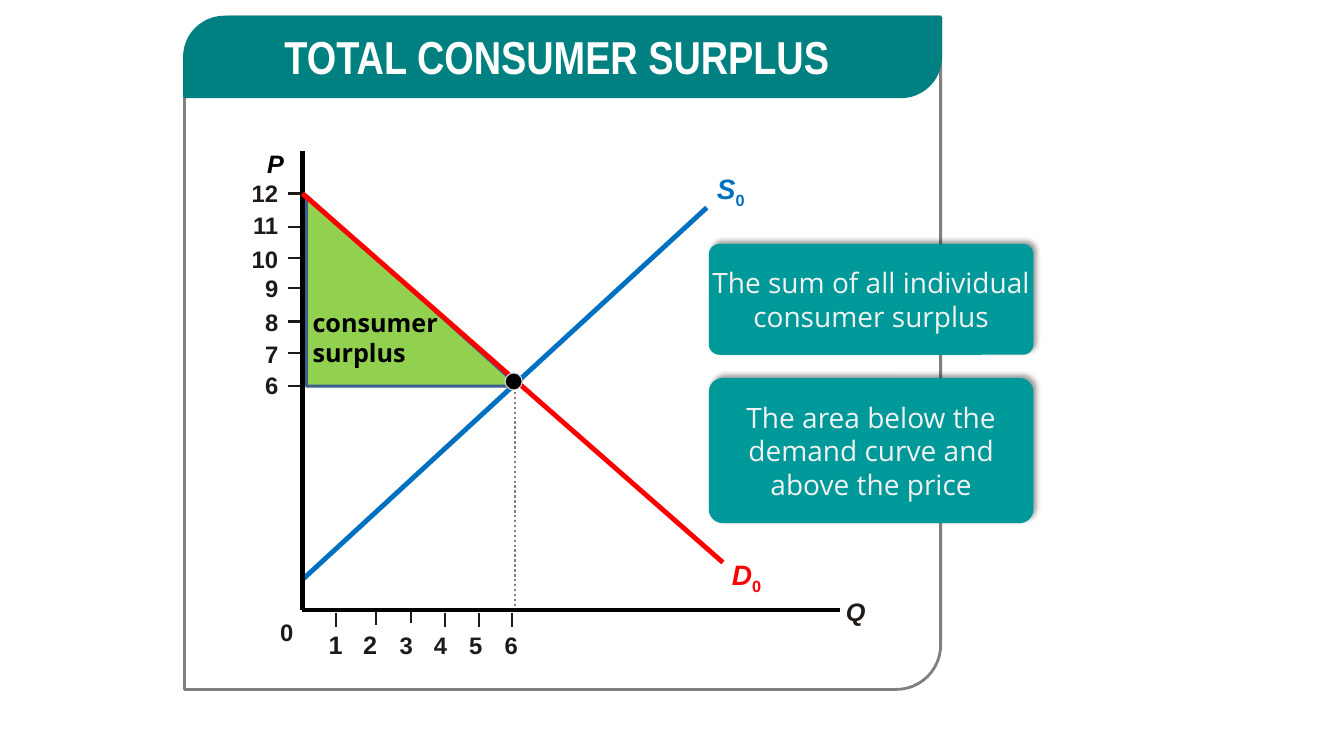
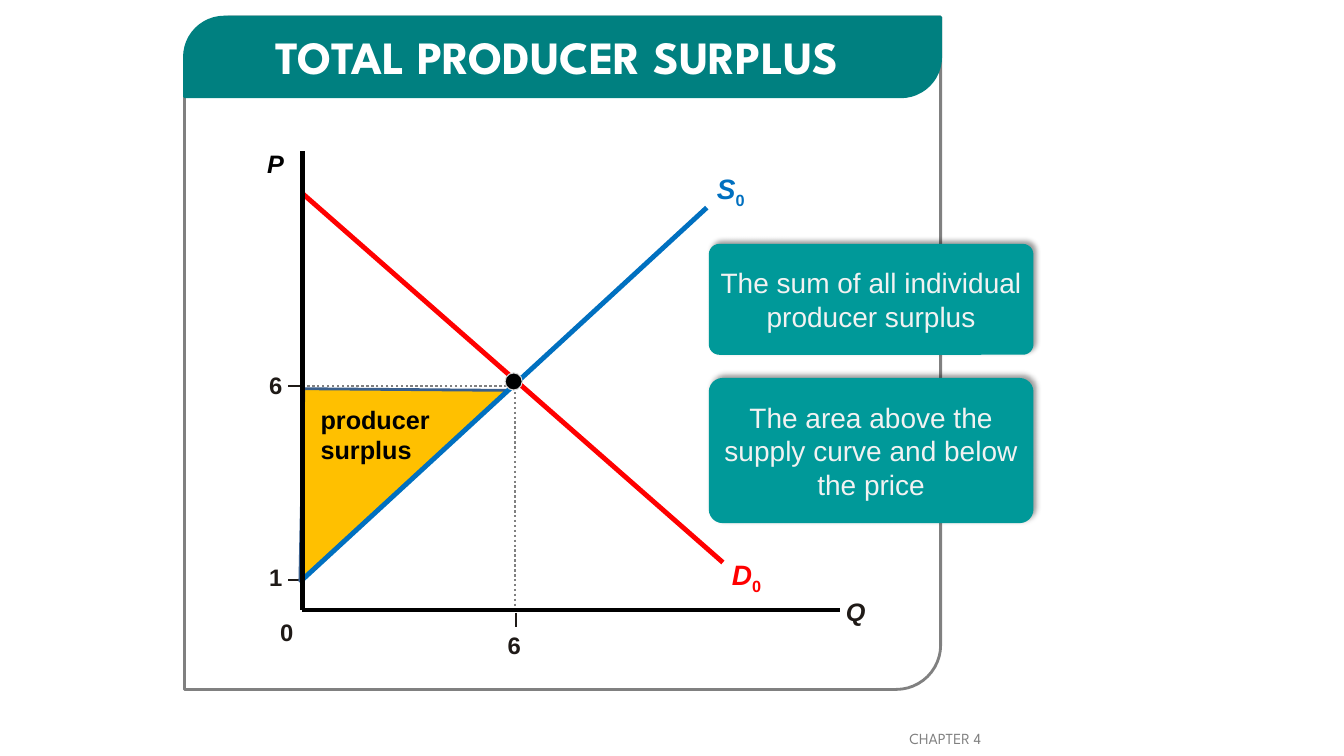
"""Build two economics slides on total consumer and producer surplus."""
import lxml.etree
import pptx
import pptx.dml.color
import pptx.enum.dml
import pptx.enum.shapes
import pptx.enum.text
import pptx.oxml.ns
import pptx.util

PX = 9144
KIND = pptx.enum.shapes.MSO_SHAPE
ALIGN = pptx.enum.text.PP_ALIGN
ANCHOR = pptx.enum.text.MSO_ANCHOR
DASH = pptx.enum.dml.MSO_LINE
QN = pptx.oxml.ns.qn


class Theme:
    banner = "008080"
    callout = "009999"
    callout_text = "F2F2F2"
    white = "FFFFFF"
    black = "000000"
    ink = "1F1A17"
    gray = "808080"
    pale = "D9D9D9"
    supply = "0070C0"
    demand = "FF0000"
    outline = "3A5F8C"
    consumer = "92D050"
    producer = "FFC000"
    body_font = "Arial"
    title_size = 33
    curve_size = 20
    callout_size = 20
    label_size = 18
    tick_size = 17
    footer_size = 11


def add_line(page, start, end, color, width, dash=None):
    line = page.shapes.add_connector(
        pptx.enum.shapes.MSO_CONNECTOR.STRAIGHT, *(PX * value for value in start + end))
    line.line.color.rgb = pptx.dml.color.RGBColor.from_string(color)
    line.line.width = pptx.util.Pt(width)
    if dash is not None:
        line.line.dash_style = dash
    lxml.etree.SubElement(line._element.spPr, QN("a:effectLst"))


def add_shape(page, kind, place, fill, outline, width=2, adjustments=()):
    shape = page.shapes.add_shape(kind, *(PX * value for value in place))
    shape.shadow.inherit = False
    for index, value in enumerate(adjustments):
        shape.adjustments[index] = value
    if fill:
        shape.fill.solid()
        shape.fill.fore_color.rgb = pptx.dml.color.RGBColor.from_string(fill)
    else:
        shape.fill.background()
    if outline:
        shape.line.color.rgb = pptx.dml.color.RGBColor.from_string(outline)
        shape.line.width = pptx.util.Pt(width)
    else:
        shape.line.fill.background()
    return shape


SUPPLY = ((300, 575), (701, 206), Theme.supply, 3.5)
DEMAND = ((300, 192), (717, 558), Theme.demand, 3.5)
PRICE_AXIS = ((300, 605), (300, 150), Theme.black, 3)
QUANTITY_AXIS = ((300, 605), (833, 605), Theme.black, 3)

SLIDES = [
    {
        "title": "TOTAL CONSUMER SURPLUS",
        "title_font": "Arial Narrow",
        "callout_font": "Open Sans",
        "callouts": ["The sum of all individual consumer surplus",
                     "The area below the demand curve and above the price"],
        "price_right": 276,
        "prices": [("6", 383, 367), ("7", 350, 336), ("8", 319, 305), ("9", 286, 271),
                   ("10", 256, 242), ("11", 225, 208), ("12", 192, 177)],
        "quantities": [("1", 333, 608, 333, Theme.label_size),
                       ("2", 373, 606, 367, Theme.label_size),
                       ("3", 408, 604, 403, Theme.tick_size),
                       ("4", 441, 608, 437, Theme.tick_size),
                       ("5", 475, 608, 472, Theme.tick_size),
                       ("6", 508, 608, 507, Theme.tick_size)],
        "price_guide": (Theme.black, 0.75, DASH.DASH),
        "under": [SUPPLY, PRICE_AXIS],
        "over": [DEMAND],
        "area": ((304, 194, 210, 189), Theme.consumer, 0, 0),
        "area_label": ("consumer surplus", (310, 305, 130, 61), "Open Sans"),
        "footer": None,
    },
    {
        "title": "TOTAL PRODUCER SURPLUS",
        "title_font": "League Spartan",
        "callout_font": "Arial",
        "callouts": ["The sum of all individual producer surplus",
                     "The area above the supply curve and below the price"],
        "price_right": 280,
        "prices": [("6", 383, 367), ("1", 575, 558)],
        "quantities": [("6", 512, 608, 510, Theme.tick_size)],
        "price_guide": (Theme.gray, 1.75, DASH.ROUND_DOT),
        "under": [DEMAND],
        "over": [SUPPLY, PRICE_AXIS],
        "area": ((214, 362, 280, 138), Theme.producer, 0.471, 317.5),
        "area_label": ("producer surplus", (318, 401, 113, 61), "Arial"),
        "footer": "CHAPTER 4",
    },
]

deck = pptx.Presentation()
deck.slide_width, deck.slide_height = 1333 * PX, 750 * PX

for content in SLIDES:
    page = deck.slides.add_slide(deck.slide_layouts[5])
    add_shape(page, KIND.ROUND_2_DIAG_RECTANGLE, (183, 17, 750, 667),
              None, Theme.gray, adjustments=(0.066, 0))
    add_shape(page, KIND.ROUND_2_DIAG_RECTANGLE, (183, 17, 750, 79),
              Theme.banner, Theme.banner, adjustments=(0.5, 0))

    title = page.shapes.title
    title.element.getparent().append(title.element)
    title.left, title.top, title.width, title.height = (PX * value for value in (182, 23, 741, 66))
    title.text_frame.text = content["title"]
    title.text_frame.auto_size = pptx.enum.text.MSO_AUTO_SIZE.NONE
    title.text_frame.vertical_anchor = ANCHOR.MIDDLE
    para = title.text_frame.paragraphs[0]
    para.alignment = ALIGN.CENTER
    para.font.name = content["title_font"]
    para.font.size = pptx.util.Pt(Theme.title_size)
    para.font.bold = True
    para.font.color.rgb = pptx.dml.color.RGBColor.from_string(Theme.white)

    for text, top, height in zip(content["callouts"], (242, 375), (110, 144)):
        callout = add_shape(page, KIND.ROUNDED_RECTANGLE, (703, top, 322, height),
                            Theme.callout, None, adjustments=(0.095,))
        effects = callout._element.spPr.find(QN("a:effectLst"))
        shadow = lxml.etree.SubElement(
            effects, QN("a:outerShdw"), blurRad="50800", dist="38100",
            dir="18900000", algn="bl", rotWithShape="0")
        shade = lxml.etree.SubElement(shadow, QN("a:srgbClr"), val=Theme.black)
        lxml.etree.SubElement(shade, QN("a:alpha"), val="40000")
        frame = callout.text_frame
        frame.margin_left = frame.margin_right = frame.margin_top = frame.margin_bottom = 0
        frame.word_wrap = True
        frame.vertical_anchor = ANCHOR.MIDDLE
        frame.text = text
        para = frame.paragraphs[0]
        para.alignment = ALIGN.CENTER
        para.font.name = content["callout_font"]
        para.font.size = pptx.util.Pt(Theme.callout_size)
        para.font.color.rgb = pptx.dml.color.RGBColor.from_string(Theme.callout_text)

    area_text, area_place, area_font = content["area_label"]
    labels = [
        ("P", "", (265, 147, 38, 30), Theme.label_size, Theme.black, True, Theme.body_font),
        ("Q", "", (839, 592, 20, 30), Theme.label_size, Theme.ink, True, Theme.body_font),
        ("S", "0", (711, 170, 40, 34), Theme.curve_size, Theme.supply, True, Theme.body_font),
        ("D", "0", (726, 553, 40, 34), Theme.curve_size, Theme.demand, True, Theme.body_font),
        ("0", "", (278, 613, 20, 29), Theme.tick_size, Theme.ink, False, Theme.body_font),
        (area_text, "", area_place, Theme.label_size, Theme.black, False, area_font),
    ]
    tick_labels = []
    for text, y, top in content["prices"]:
        add_line(page, (286, y), (300, y), Theme.ink, 1.5)
        place = (content["price_right"] - 40, top, 40, 29)
        tick_labels.append((text, place, Theme.tick_size, ALIGN.RIGHT))
    for text, x, top, center, size in content["quantities"]:
        add_line(page, (x, top), (x, top + 14), Theme.ink, 1.5)
        tick_labels.append((text, (center - 15, 625, 30, 29), size, ALIGN.CENTER))

    add_line(page, (517, 383), (301, 383), *content["price_guide"])
    add_line(page, (511, 384), (511, 606), Theme.gray, 1.75, DASH.ROUND_DOT)
    for line in [QUANTITY_AXIS] + content["under"]:
        add_line(page, *line)
    place, fill, apex, rotation = content["area"]
    area = add_shape(page, KIND.ISOSCELES_TRIANGLE, place, fill, Theme.outline,
                     adjustments=(apex,))
    area.rotation = rotation
    for line in content["over"]:
        add_line(page, *line)
    add_shape(page, KIND.OVAL, (501, 370, 17, 17), Theme.black, Theme.pale, 0.75)

    texts = [label + (True, ALIGN.LEFT, ANCHOR.TOP) for label in labels]
    for text, place, size, alignment in tick_labels:
        texts.append((text, "", place, size, Theme.ink, False, Theme.body_font,
                      True, alignment, ANCHOR.BOTTOM))
    if content["footer"]:
        texts.append((content["footer"], "", (902, 723, 90, 19), Theme.footer_size,
                      Theme.gray, False, content["title_font"], False, ALIGN.LEFT, ANCHOR.TOP))
    for text, subscript, place, size, color, italic, font, bold, alignment, anchor in texts:
        box = page.shapes.add_textbox(*(PX * value for value in place))
        frame = box.text_frame
        frame.margin_left = frame.margin_right = frame.margin_top = frame.margin_bottom = 0
        frame.word_wrap = True
        frame.vertical_anchor = anchor
        para = frame.paragraphs[0]
        para.alignment = alignment
        para.font.name = font
        para.font.size = pptx.util.Pt(size)
        para.font.bold = bold
        para.font.italic = italic
        para.font.color.rgb = pptx.dml.color.RGBColor.from_string(color)
        para.add_run().text = text
        if subscript:
            span = para.add_run()
            span.text = subscript
            span.font.italic = False
            span._r.get_or_add_rPr().set("baseline", "-25000")

deck.save("out.pptx")
